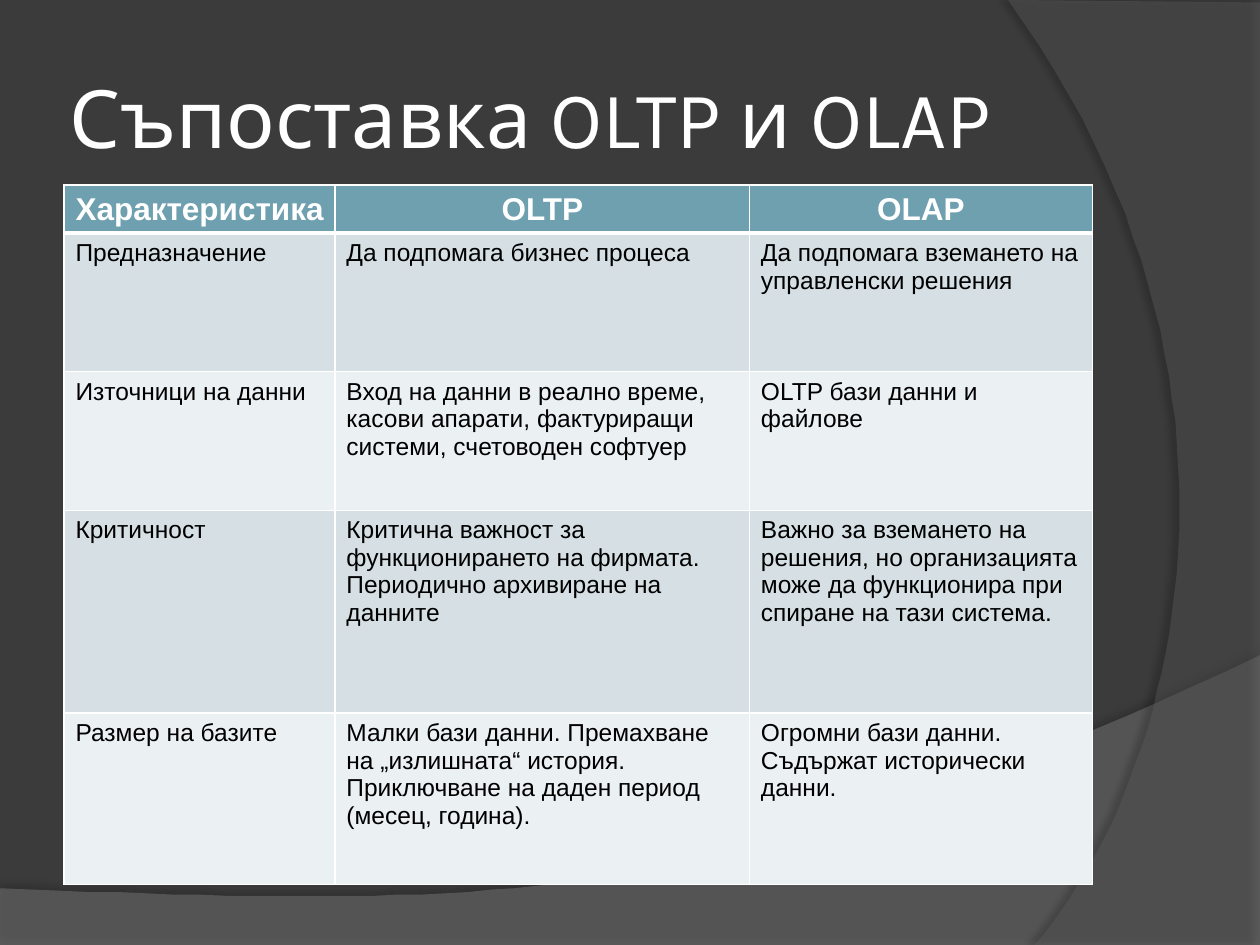
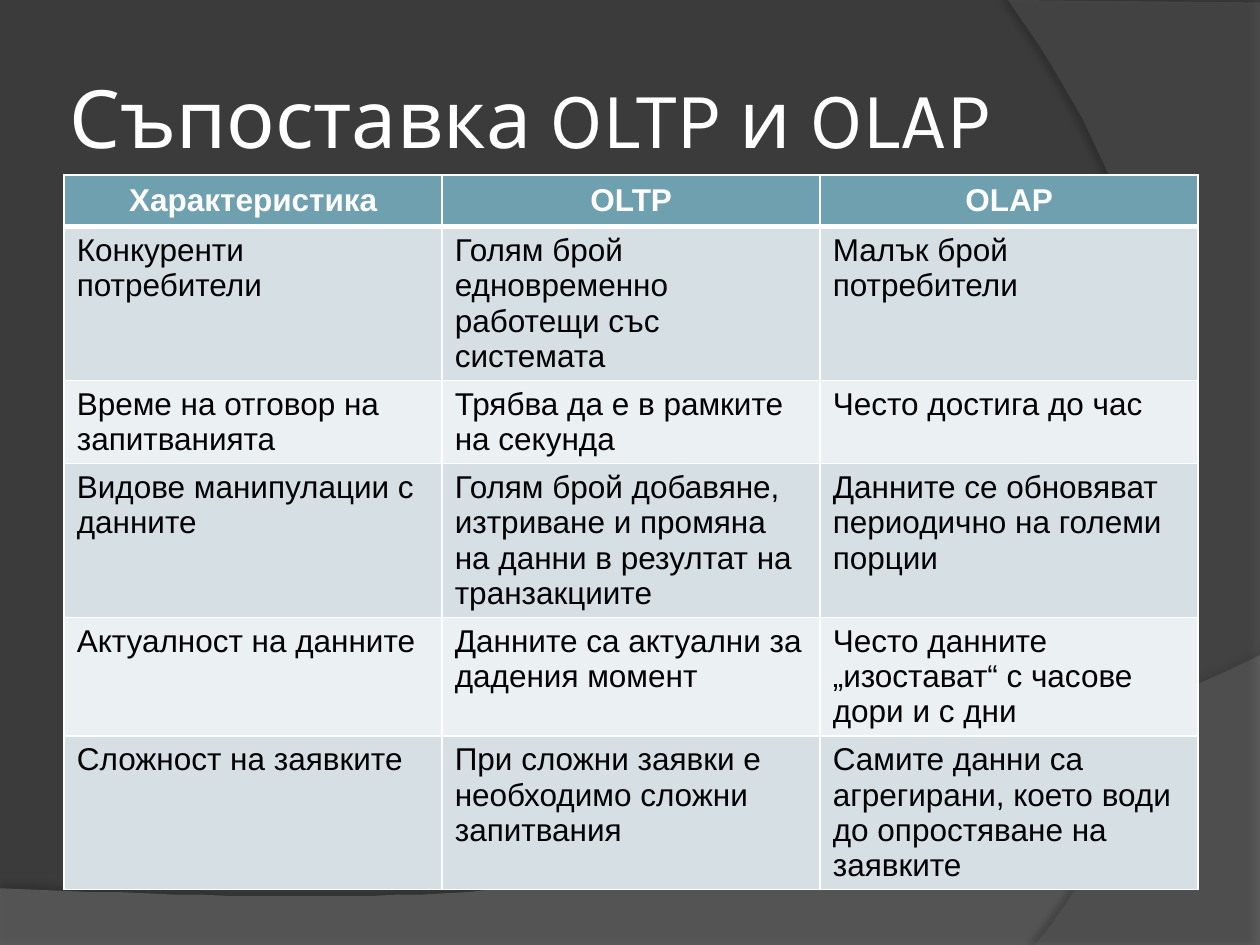
from lxml import etree
from pptx import Presentation
from pptx.dml.color import RGBColor
from pptx.enum.text import MSO_ANCHOR, PP_ALIGN
from pptx.oxml.ns import qn
from pptx.util import Pt

PX = 9144
MIDDLE, TOP = MSO_ANCHOR.MIDDLE, MSO_ANCHOR.TOP
LEFT, CENTER = PP_ALIGN.LEFT, PP_ALIGN.CENTER
TITLE_ONLY = 5

COLORS = {
    "background": "3B3B3B", "wave": "7F7F7F", "arc": "5E5E5E",
    "white": "FFFFFF", "black": "000000",
    "header": "6EA0B0", "odd": "D5DFE4", "even": "EBF0F2",
}

TITLE = "Съпоставка OLTP и OLAP"
HEADINGS = ("Характеристика", "OLTP", "OLAP")
PURPOSE_ROWS = [
    ("Предназначение", "Да подпомага бизнес процеса",
     "Да подпомага вземането на управленски решения"),
    ("Източници на данни",
     "Вход на данни в реално време, касови апарати, фактуриращи системи, счетоводен софтуер",
     "OLTP бази данни и файлове"),
    ("Критичност",
     "Критична важност за функционирането на фирмата. Периодично архивиране на данните",
     "Важно за вземането на решения, но организацията може да функционира при спиране "
     "на тази система."),
    ("Размер на базите",
     "Малки бази данни. Премахване на „излишната“ история. Приключване на даден период "
     "(месец, година).",
     "Огромни бази данни. Съдържат исторически данни."),
]
USAGE_ROWS = [
    ("Конкуренти потребители", "Голям брой едновременно работещи със системата",
     "Малък брой потребители"),
    ("Време на отговор на запитванията", "Трябва да е в рамките на секунда",
     "Често достига до час"),
    ("Видове манипулации с данните",
     "Голям брой добавяне, изтриване и промяна на данни в резултат на транзакциите",
     "Данните се обновяват периодично на големи порции"),
    ("Актуалност на данните", "Данните са актуални за дадения момент",
     "Често данните „изостават“ с часове дори и с дни"),
    ("Сложност на заявките", "При сложни заявки е необходимо сложни запитвания",
     "Самите данни са агрегирани, което води до опростяване на заявките"),
]


def rgb(name):
    return RGBColor.from_string(COLORS[name])


def curve(start, pull_out, pull_in, end, steps=48):
    points = []
    for step in range(steps + 1):
        t = step / steps
        weights = ((1 - t) ** 3, 3 * t * (1 - t) ** 2, 3 * t * t * (1 - t), t ** 3)
        corners = (start, pull_out, pull_in, end)
        points.append(tuple(sum(w * c[axis] for w, c in zip(weights, corners))
                            for axis in (0, 1)))
    return points


class Deck:
    """Holds the shared style and the slide being built."""

    def __init__(self):
        self.prs = Presentation()
        self.prs.slide_width, self.prs.slide_height = 1000 * PX, 750 * PX
        self.slide = None

    def new_slide(self, title):
        self.slide = self.prs.slides.add_slide(self.prs.slide_layouts[TITLE_ONLY])
        fill = self.slide.background.fill
        fill.solid()
        fill.fore_color.rgb = rgb("background")
        arc = curve((821, 750), (935, 619), (1018, 300), (800, 0))
        self.band([(1000, 2), (1000, 750)] + arc, "arc", 40, (45, 4, 180))
        wave = curve((1000, 520), (559, 729), (391, 719), (0, 705))
        self.band([(0, 750), (1000, 750)] + wave, "wave", 45, (35, 3.5, 270))
        self.title(title)

    def title(self, text):
        heading = self.slide.shapes.title
        heading.left, heading.top = 50 * PX, 30 * PX
        heading.width, heading.height = 817 * PX, 125 * PX
        frame = heading.text_frame
        frame.text = text
        frame.vertical_anchor = MIDDLE
        frame.margin_left = frame.margin_right = 5 * PX
        frame.margin_top = frame.margin_bottom = 5 * PX
        self.style(frame.paragraphs[0], LEFT, "Karla", 46, "white")

    def style(self, paragraph, align, font_name, size, color, bold=False):
        paragraph.alignment = align
        for run in paragraph.runs:
            run.font.name, run.font.size, run.font.bold = font_name, Pt(size), bold
            run.font.color.rgb = rgb(color)

    def band(self, outline, color, opacity, shadow):
        builder = self.slide.shapes.build_freeform(*outline[0], scale=PX)
        builder.add_line_segments(outline[1:])
        shape = builder.convert_to_shape()
        shape.fill.solid()
        shape.fill.fore_color.rgb = rgb(color)
        shape.line.fill.background()
        shape.shadow.inherit = False
        properties = shape.element.spPr
        self.opacity(properties.find(".//" + qn("a:srgbClr")), opacity)
        shadow_opacity, distance, angle = shadow
        glow = etree.SubElement(
            properties.find(qn("a:effectLst")), qn("a:outerShdw"), blurRad=str(Pt(4)),
            dist=str(Pt(distance)), dir=str(angle * 60000), rotWithShape="0")
        shade = etree.SubElement(glow, qn("a:srgbClr"), val=COLORS["black"])
        self.opacity(shade, shadow_opacity)
        self.slide.shapes.element.insert(2, shape.element)

    def opacity(self, color, percent):
        etree.SubElement(color, qn("a:alpha"), val=str(percent * 1000))

    def table(self, top, columns, heights, rows, size, side_margin):
        lines = [HEADINGS] + rows
        grid = self.slide.shapes.add_table(
            len(lines), len(columns), 51 * PX, top * PX,
            sum(columns) * PX, sum(heights) * PX).table
        for column, width in zip(grid.columns, columns):
            column.width = width * PX
        for r, (texts, height) in enumerate(zip(lines, heights)):
            grid.rows[r].height = height * PX
            for c, text in enumerate(texts):
                self.cell(grid.cell(r, c), text, r, size, side_margin)

    def cell(self, cell, text, row, size, side_margin):
        header = row == 0
        cell.text_frame.text = text
        cell.margin_left = cell.margin_right = side_margin * PX
        cell.margin_top = cell.margin_bottom = 5 * PX
        cell.vertical_anchor = MIDDLE if header else TOP
        cell.fill.solid()
        cell.fill.fore_color.rgb = rgb("header" if header else "odd" if row % 2 else "even")
        self.style(cell.text_frame.paragraphs[0], CENTER if header else LEFT, "Arial",
                   18 if header else size, "white" if header else "black", header)
        widths = {"lnL": 1, "lnR": 1, "lnT": 3 if row == 1 else 1, "lnB": 3 if header else 1}
        properties = cell._tc.get_or_add_tcPr()
        for place, (side, width) in enumerate(widths.items()):
            border = etree.Element(qn("a:" + side), w=str(Pt(width)))
            fill = etree.SubElement(border, qn("a:solidFill"))
            etree.SubElement(fill, qn("a:srgbClr"), val=COLORS["white"])
            properties.insert(place, border)


def main():
    deck = Deck()
    deck.new_slide(TITLE)
    deck.table(147, (215, 329, 272), (34, 110, 110, 161, 136), PURPOSE_ROWS, 14, 9)
    deck.new_slide(TITLE)
    deck.table(139, (300,) * 3, (41,) * 6, USAGE_ROWS, 18, 10)
    deck.prs.save("out.pptx")


if __name__ == "__main__":
    main()
